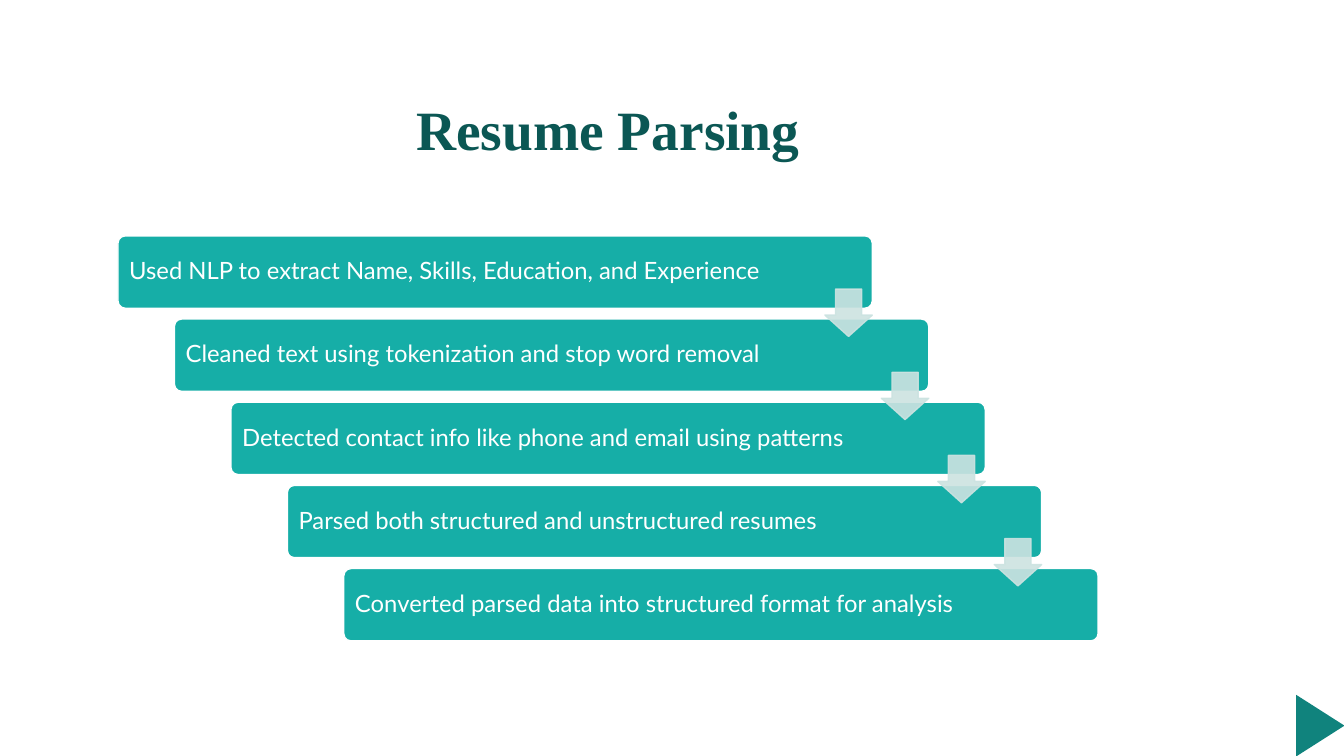
from lxml import etree
from pptx import Presentation
from pptx.dml.color import RGBColor
from pptx.enum.shapes import MSO_SHAPE
from pptx.enum.text import MSO_ANCHOR, MSO_AUTO_SIZE, PP_ALIGN
from pptx.oxml.ns import qn
from pptx.util import Inches, Pt

ROUNDED = MSO_SHAPE.ROUNDED_RECTANGLE
DOWN_ARROW = MSO_SHAPE.DOWN_ARROW
TRIANGLE = MSO_SHAPE.ISOSCELES_TRIANGLE
TOP, MIDDLE = MSO_ANCHOR.TOP, MSO_ANCHOR.MIDDLE
LEFT, CENTER = PP_ALIGN.LEFT, PP_ALIGN.CENTER
NO_AUTOFIT = MSO_AUTO_SIZE.NONE

COLORS = {
    "title": "0B5754",
    "bar": "16AEA7",
    "arrow": "CCE3E1",
    "corner": "10837D",
    "white": "FFFFFF",
}
GRID_LEFT, GRID_TOP = 1.17, 2.34
COLUMN, ROW = 0.56, 3.3 / 4

STEPS = [
    "Used NLP to extract Name, Skills, Education, and Experience",
    "Cleaned text using tokenization and stop word removal",
    "Detected contact info like phone and email using patterns",
    "Parsed both structured and unstructured resumes",
    "Converted parsed data into structured format for analysis",
]


def color(name):
    return RGBColor.from_string(COLORS[name])


def grid_box(column, row, columns, rows):
    return (
        Inches(GRID_LEFT + column * COLUMN),
        Inches(GRID_TOP + row * ROW),
        Inches(columns * COLUMN),
        Inches(rows * ROW),
    )


def write_text(shape, text, *, font, size, fill, bold=False, align=LEFT,
               anchor=MIDDLE, inset=0.09, top_inset=0.07):
    frame = shape.text_frame
    frame.text = text
    frame.word_wrap = True
    frame.auto_size = NO_AUTOFIT
    frame.vertical_anchor = anchor
    frame.margin_left = frame.margin_right = Inches(inset)
    frame.margin_top = frame.margin_bottom = Inches(top_inset)
    paragraph = frame.paragraphs[0]
    paragraph.alignment = align
    paragraph.line_spacing = 0.9
    paragraph.space_before = Pt(0)
    paragraph.font.name = font
    paragraph.font.size = Pt(size)
    paragraph.font.bold = bold
    paragraph.font.color.rgb = color(fill)


def set_opacity(shape, percent):
    for element in shape.element.spPr.iter(qn("a:srgbClr")):
        etree.SubElement(element, qn("a:alpha"), val=str(percent * 1000))


class StepSlide:
    title_font = "Times New Roman"
    body_font = "Lato"

    def __init__(self, presentation):
        self.slide = presentation.slides.add_slide(presentation.slide_layouts[5])

    def title(self, text, box):
        shape = self.slide.shapes.title
        shape.left, shape.top, shape.width, shape.height = grid_box(*box)
        write_text(shape, text, font=self.title_font, size=39.6, fill="title",
                   bold=True, align=CENTER, anchor=TOP, top_inset=0)

    def shape(self, kind, box, fill, line=None, adjustments=()):
        shape = self.slide.shapes.add_shape(kind, *grid_box(*box))
        shape.shadow.inherit = False
        shape.fill.solid()
        shape.fill.fore_color.rgb = color(fill)
        if line:
            shape.line.color.rgb = color(line)
            shape.line.width = Pt(1)
        else:
            shape.line.fill.background()
        for index, value in enumerate(adjustments):
            shape.adjustments[index] = value
        return shape

    def bar(self, step, text):
        shape = self.shape(ROUNDED, (step, step, 13.36, 0.87), "bar", "white", [0.1])
        write_text(shape, text, font=self.body_font, size=17, fill="white")

    def arrow(self, step):
        box = (step + 12.52, step + 0.64, 0.84, 0.57)
        shape = self.shape(DOWN_ARROW, box, "arrow", "arrow", [0.55, 0.45])
        set_opacity(shape, 90)

    def corner(self):
        shape = self.shape(TRIANGLE, (20.75, 5.6, 1.09, 0.58), "corner")
        shape.rotation = 90


def main():
    presentation = Presentation()
    presentation.slide_width = Inches(13.33)
    presentation.slide_height = Inches(7.5)
    page = StepSlide(presentation)
    page.title("Resume Parsing", (0, -1.6, 17.36, 1.26))
    for step, text in enumerate(STEPS):
        page.bar(step, text)
    for step in range(len(STEPS) - 1):
        page.arrow(step)
    page.corner()
    presentation.save("out.pptx")


if __name__ == "__main__":
    main()
